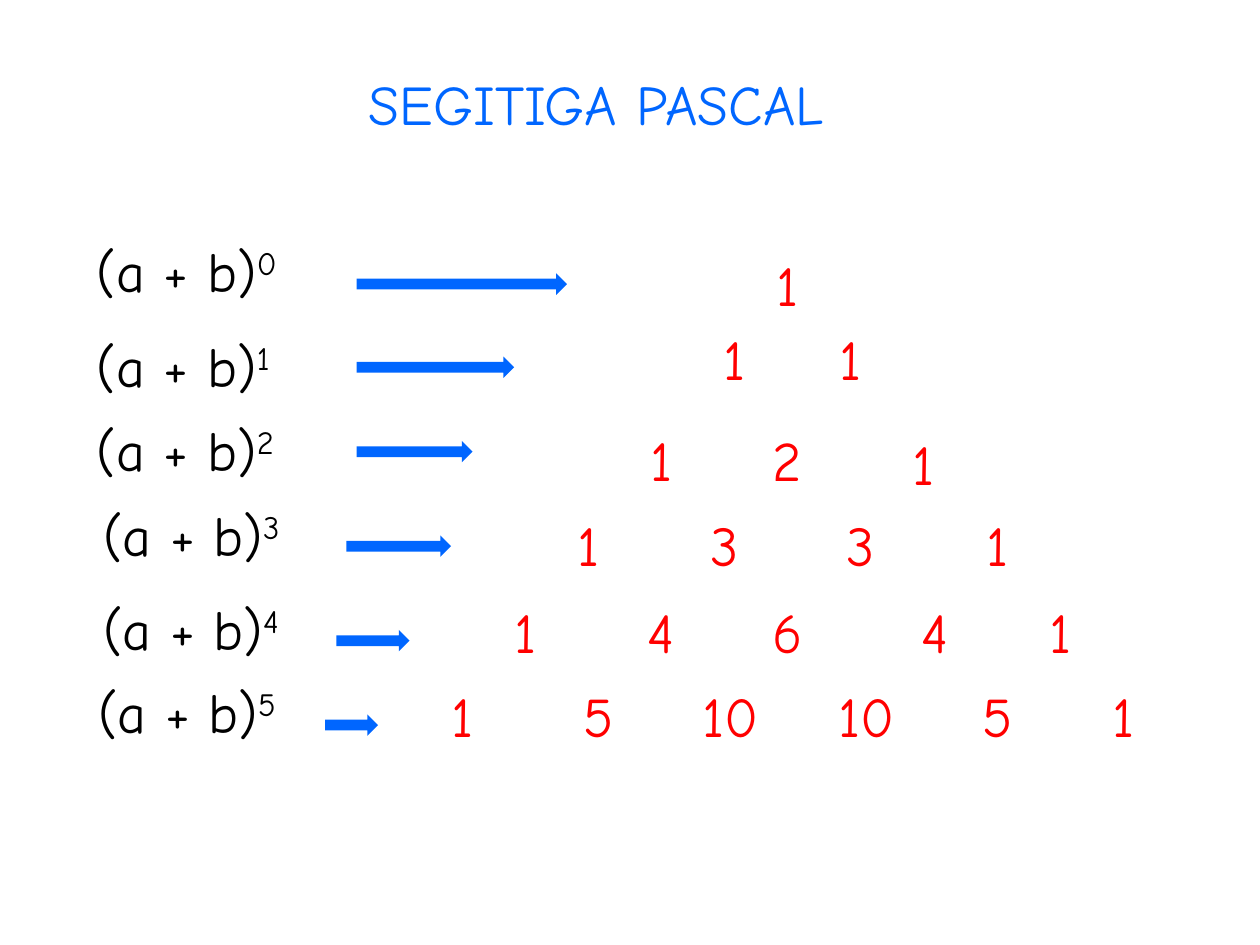
"""Build the Pascal's triangle slide."""
from dataclasses import dataclass
from math import comb

from pptx import Presentation
from pptx.dml.color import RGBColor
from pptx.enum.shapes import MSO_SHAPE
from pptx.enum.text import MSO_AUTO_SIZE, PP_ALIGN
from pptx.slide import Slide
from pptx.util import Inches, Pt

BLACK, BLUE, RED = "000000", "0066FF", "FF0000"
LINE_HEIGHT = 0.64
LABEL_WIDTH = 1.75


@dataclass
class Row:
    label_left: float
    label_top: float
    arrow_left: float
    arrow_top: float
    arrow_width: float
    number_top: float
    number_lefts: tuple[float, ...]
    last_drop: float = 0


ROWS = [
    Row(0.67, 1.83, 2.83, 2.17, 1.67, 1.94, (6,)),
    Row(0.67, 2.58, 2.83, 2.83, 1.25, 2.53, (5.58, 6.5)),
    Row(0.67, 3.25, 2.83, 3.5, 0.92, 3.33, (5, 6, 7.08), last_drop=0.03),
    Row(0.72, 3.92, 2.75, 4.25, 0.83, 4, (4.42, 5.5, 6.58, 7.67)),
    Row(0.72, 4.67, 2.67, 5, 0.58, 4.69, (3.92, 5, 6, 7.17, 8.17)),
    Row(0.68, 5.33, 2.58, 5.67, 0.42, 5.36, (3.42, 4.5, 5.42, 6.5, 7.67, 8.67)),
]


def rgb(color: str) -> RGBColor:
    return RGBColor.from_string(color)


def add_text(s: Slide, text: str, left: float, top: float, width: float, color: str,
             align: PP_ALIGN = PP_ALIGN.LEFT, power: str = "") -> None:
    box = s.shapes.add_textbox(Inches(left), Inches(top), Inches(width), Inches(LINE_HEIGHT))
    tf = box.text_frame
    tf.word_wrap = True
    tf.auto_size = MSO_AUTO_SIZE.SHAPE_TO_FIT_TEXT
    p = tf.paragraphs[0]
    p.alignment = align
    p.font.name = "Comic Neue"
    p.font.size = Pt(32)
    p.font.color.rgb = rgb(color)
    p.add_run().text = text
    if power:
        r = p.add_run()
        r.text = power
        r._r.get_or_add_rPr().set("baseline", "30000")


def add_arrow(s: Slide, left: float, top: float, width: float) -> None:
    arrow = s.shapes.add_shape(MSO_SHAPE.RIGHT_ARROW, Inches(left), Inches(top),
                               Inches(width), Inches(0.17))
    arrow.shadow.inherit = False
    arrow.fill.solid()
    arrow.fill.fore_color.rgb = rgb(BLUE)
    arrow.line.fill.background()


def add_row(s: Slide, n: int, row: Row) -> None:
    add_text(s, "(a + b)", row.label_left, row.label_top, LABEL_WIDTH, BLACK, power=str(n))
    add_arrow(s, row.arrow_left, row.arrow_top, row.arrow_width)
    for k, left in enumerate(row.number_lefts):
        number = str(comb(n, k))
        top = row.number_top + (row.last_drop if k == n else 0)
        add_text(s, number, left, top, 0.25 + 0.25 * len(number), RED, PP_ALIGN.CENTER)


def main() -> None:
    prs = Presentation()
    prs.slide_width, prs.slide_height = Inches(10), Inches(7.5)
    s = prs.slides.add_slide(prs.slide_layouts[6])
    add_text(s, "SEGITIGA PASCAL", 2.83, 0.5, 4.5, BLUE)
    for n, row in enumerate(ROWS):
        add_row(s, n, row)
    prs.save("out.pptx")


if __name__ == "__main__":
    main()
